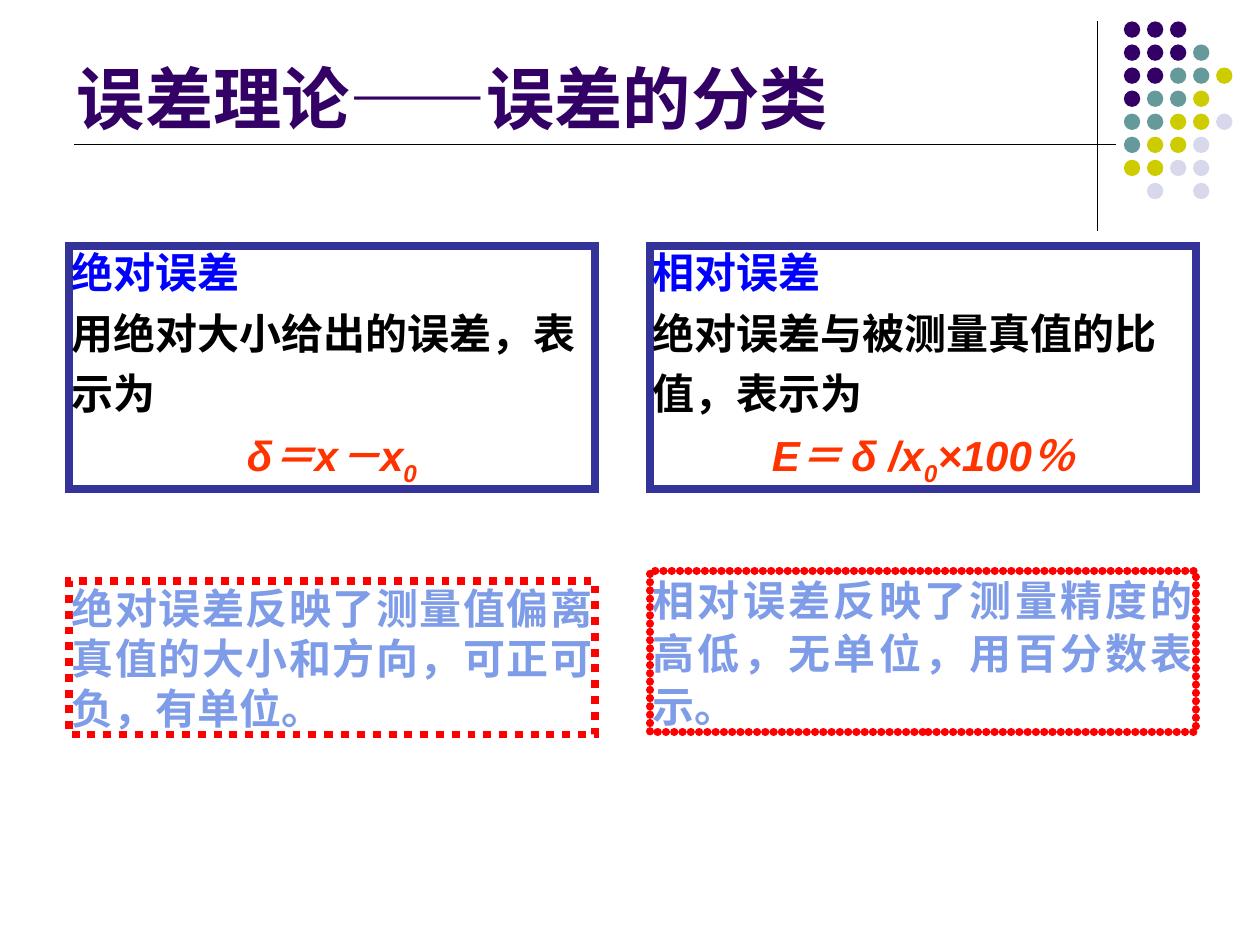
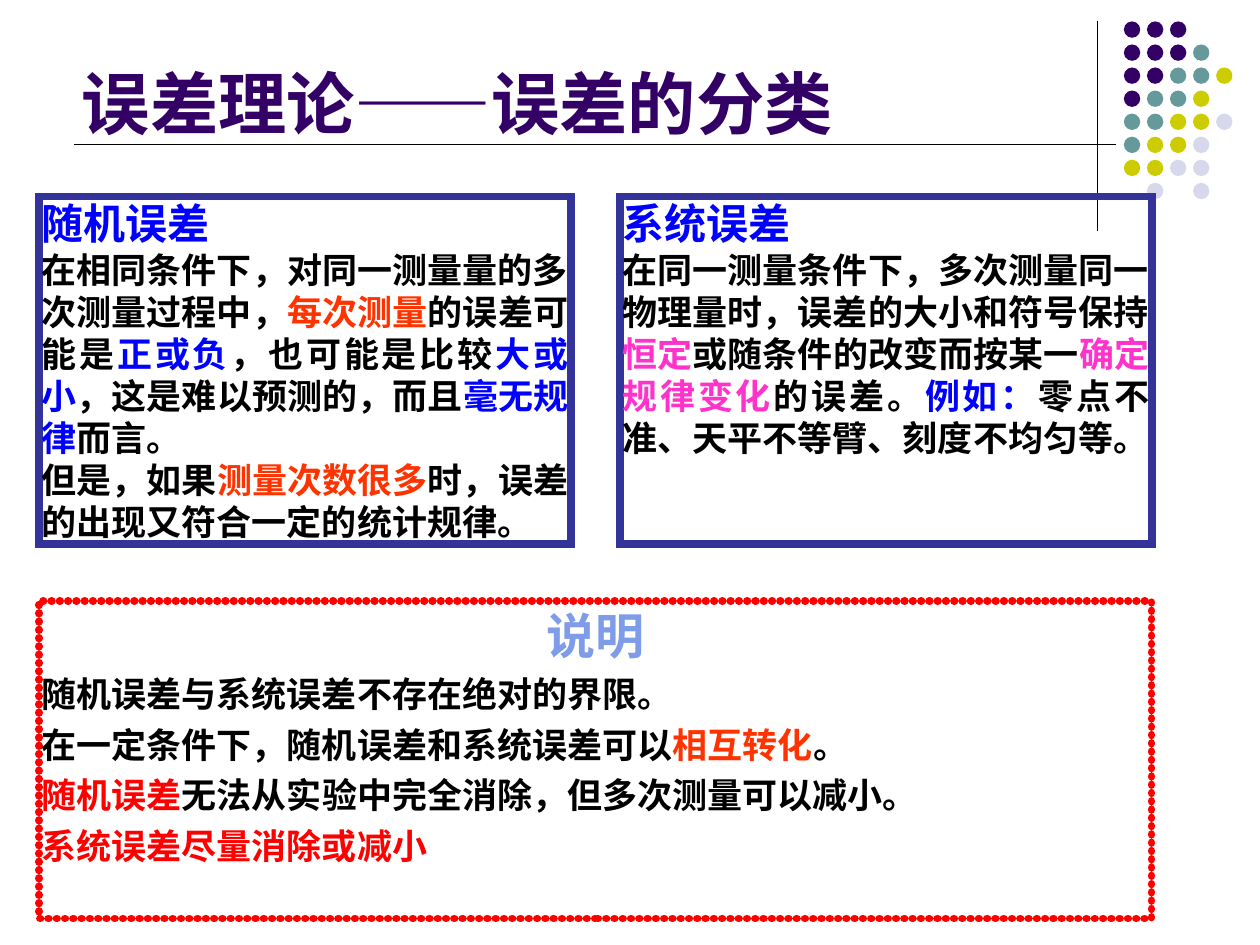
from lxml.etree import SubElement
from pptx import Presentation
from pptx.dml.color import RGBColor
from pptx.enum.shapes import MSO_CONNECTOR, MSO_SHAPE
from pptx.enum.text import MSO_ANCHOR, PP_ALIGN
from pptx.oxml.ns import qn
from pptx.util import Inches, Pt

PURPLE, TEAL, OLIVE, LILAC = "330066", "669999", "CCCC00", "D8D8EC"
BLACK, BLUE, NAVY, SKY = "000000", "0000FF", "333399", "7E9CE8"
RED, ORANGE, PINK = "FF0000", "FF3300", "FF33CC"

TITLE = "误差理论——误差的分类"
DOT_COLORS = {"P": PURPLE, "T": TEAL, "O": OLIVE, "L": LILAC}
DOT_ROWS = ["PPP", "PPPT", "PPTTO", "PTTO", "TTOOL", "TOOL", "OOLL", " L L"]
DOT_PITCH = 0.183

HEADING = {"size": 24, "align": PP_ALIGN.JUSTIFY}
STATEMENT = {"size": 24, "line_spacing": 1.2}
FORMULA = {"size": 24, "line_spacing": 1.2, "align": PP_ALIGN.CENTER, "italic": True}
BODY = {"size": 20, "align": PP_ALIGN.JUSTIFY}
NOTE = {"size": 20, "align": PP_ALIGN.JUSTIFY, "line_spacing": 1.05, "space_before": 3.7}
NOTE_HEADING = {"size": 28, "align": PP_ALIGN.CENTER, "line_spacing": 1.05,
                "name": "Times New Roman"}

SLIDES = [
    {"title_at": (0.51, 0.12), "boxes": [
        {"at": (0.55, 1.95, 4.17, 1.93), "line": NAVY, "paragraphs": [
            ([("绝对误差", BLUE)], HEADING),
            ([("用绝对大小给出的误差，表示为", BLACK)], STATEMENT),
            ([("δ＝x－x", ORANGE), ("0", ORANGE, "sub")], FORMULA)]},
        {"at": (5.16, 4.53, 4.33, 1.28), "line": RED, "dash": "round", "paragraphs": [
            ([("相对误差反映了测量精度的高低，无单位，用百分数表示。", SKY)],
             HEADING | {"line_spacing": 1.05})]},
        {"at": (0.55, 4.61, 4.17, 1.22), "line": RED, "dash": "square", "paragraphs": [
            ([("绝对误差反映了测量值偏离真值的大小和方向，可正可负，有单位。", SKY)], HEADING)]},
        {"at": (5.16, 1.95, 4.33, 1.93), "line": NAVY, "paragraphs": [
            ([("相对误差", BLUE)], HEADING),
            ([("绝对误差与被测量真值的比值，表示为", BLACK)], STATEMENT),
            ([("E＝ δ /x", ORANGE), ("0", ORANGE, "sub"), ("×100％", ORANGE)], FORMULA)]},
    ]},
    {"title_at": (0.55, 0.16), "boxes": [
        {"at": (0.31, 1.56, 4.22, 2.76), "line": NAVY, "paragraphs": [
            ([("随机误差", BLUE)], HEADING),
            ([("在相同条件下，对同一测量量的多次测量过程中，", BLACK), ("每次测量", ORANGE),
              ("的误差可能是", BLACK), ("正或负", BLUE), ("，也可能是比较", BLACK),
              ("大或小", BLUE), ("，这是难以预测的，而且", BLACK), ("毫无规律", BLUE),
              ("而言。", BLACK)], BODY),
            ([("但是，如果", BLACK), ("测量次数很多", ORANGE),
              ("时，误差的出现又符合一定的统计规律。", BLACK)], BODY)]},
        {"at": (4.92, 1.56, 4.22, 2.76), "line": NAVY, "paragraphs": [
            ([("系统误差", BLUE)], HEADING),
            ([("在同一测量条件下，多次测量同一物理量时，误差的大小和符号保持", BLACK),
              ("恒定", PINK), ("或随条件的改变而按某一", BLACK), ("确定规律变化", PINK),
              ("的误差。", BLACK), ("例如：", BLUE),
              ("零点不准、天平不等臂、刻度不均匀等。", BLACK)], BODY)]},
        {"at": (0.31, 4.77, 8.83, 2.52), "line": RED, "dash": "round", "paragraphs": [
            ([("说明", SKY)], NOTE_HEADING),
            ([("随机误差与系统误差不存在绝对的界限。", BLACK)], NOTE),
            ([("在一定条件下，随机误差和系统误差可以", BLACK), ("相互转化", ORANGE),
              ("。", BLACK)], NOTE),
            ([("随机误差", RED), ("无法从实验中完全消除，但多次测量可以减小。", BLACK)], NOTE),
            ([("系统误差尽量消除或减小", RED)], NOTE)]},
    ]},
]


def color(hex_string):
    return RGBColor.from_string(hex_string)


def write(paragraph, runs, size, name="Arial", italic=None, align=PP_ALIGN.LEFT,
          line_spacing=1.0, space_before=0):
    paragraph.alignment = align
    paragraph.line_spacing = line_spacing
    paragraph.space_before = Pt(space_before)
    paragraph._p.get_or_add_pPr().set("hangingPunct", "0")
    for text, hex_string, *position in runs:
        run = paragraph.add_run()
        run.text = text
        font = run.font
        font.size, font.name, font.bold, font.italic = Pt(size), name, True, italic
        font.color.rgb = color(hex_string)
        if position:
            font._element.set("baseline", "-25000")


def style_outline(line, dash):
    properties = line._get_or_add_ln()
    if dash == "square":
        SubElement(properties, qn("a:prstDash"), val="sysDot")
    elif dash == "round":
        properties.set("cap", "rnd")
        custom = SubElement(properties, qn("a:custDash"))
        SubElement(custom, qn("a:ds"), d="5000", sp="100000")
    SubElement(properties, qn("a:miter"), lim="800000")


def add_rule(slide, start, end, width):
    rule = slide.shapes.add_connector(
        MSO_CONNECTOR.STRAIGHT, *[Inches(value) for value in start + end])
    rule.line.color.rgb = color(BLACK)
    rule.line.width = Pt(width)
    SubElement(rule._element.spPr, qn("a:effectLst"))


def add_decoration(slide):
    add_rule(slide, (8.71, 0.17), (8.71, 1.83), 0.75)
    group = slide.shapes.add_group_shape()
    for row, letters in enumerate(DOT_ROWS):
        for column, letter in enumerate(letters):
            if letter == " ":
                continue
            dot = group.shapes.add_shape(
                MSO_SHAPE.OVAL, Inches(8.92 + column * DOT_PITCH),
                Inches(0.17 + row * DOT_PITCH), Inches(0.13), Inches(0.13))
            dot.shadow.inherit = False
            dot.fill.solid()
            dot.fill.fore_color.rgb = color(DOT_COLORS[letter])
            dot.line.fill.background()
    add_rule(slide, (0.59, 1.15), (8.86, 1.15), 0.5)


def place_title(slide, left, top):
    title = slide.shapes.title
    title.left, title.top = Inches(left), Inches(top)
    title.width, title.height = Inches(8.25), Inches(1.03)
    title.text_frame.vertical_anchor = MSO_ANCHOR.BOTTOM
    write(title.text_frame.paragraphs[0], [(TITLE, PURPLE)], 39)


def add_box(slide, at, line, paragraphs, dash=None):
    box = slide.shapes.add_shape(MSO_SHAPE.RECTANGLE, *[Inches(value) for value in at])
    box.shadow.inherit = False
    box.fill.background()
    box.line.color.rgb = color(line)
    box.line.width = Pt(4.5)
    style_outline(box.line, dash)
    frame = box.text_frame
    frame.word_wrap = True
    frame.vertical_anchor = MSO_ANCHOR.TOP
    frame.margin_left = frame.margin_right = Inches(0.02)
    frame.margin_top = frame.margin_bottom = Inches(0.01)
    for index, (runs, text_format) in enumerate(paragraphs):
        paragraph = frame.add_paragraph() if index else frame.paragraphs[0]
        write(paragraph, runs, **text_format)


def main():
    presentation = Presentation()
    presentation.slide_width, presentation.slide_height = Inches(10), Inches(7.5)
    for content in SLIDES:
        slide = presentation.slides.add_slide(presentation.slide_layouts[5])
        add_decoration(slide)
        place_title(slide, *content["title_at"])
        for box in content["boxes"]:
            add_box(slide, **box)
    presentation.save("out.pptx")


if __name__ == "__main__":
    main()
